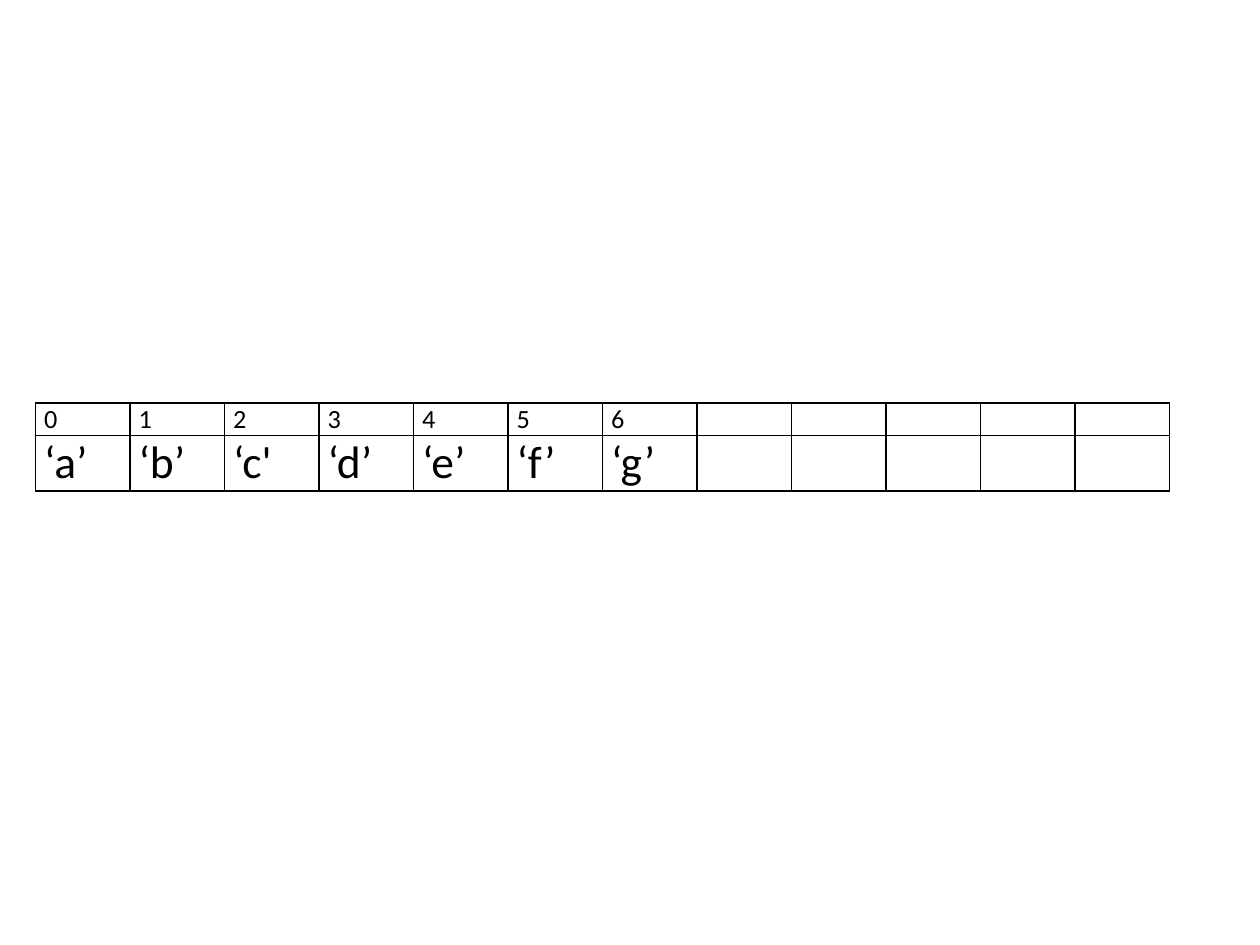
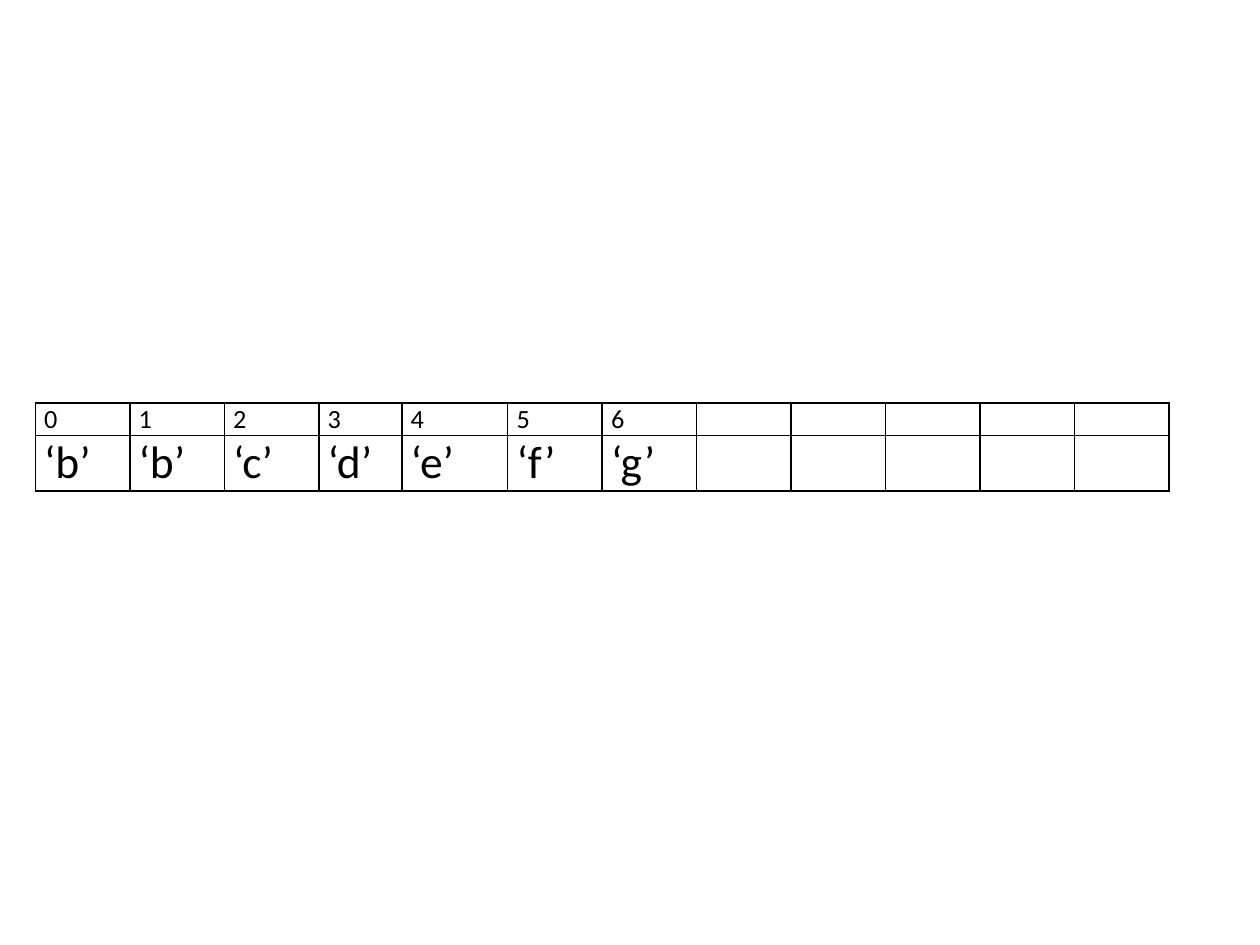
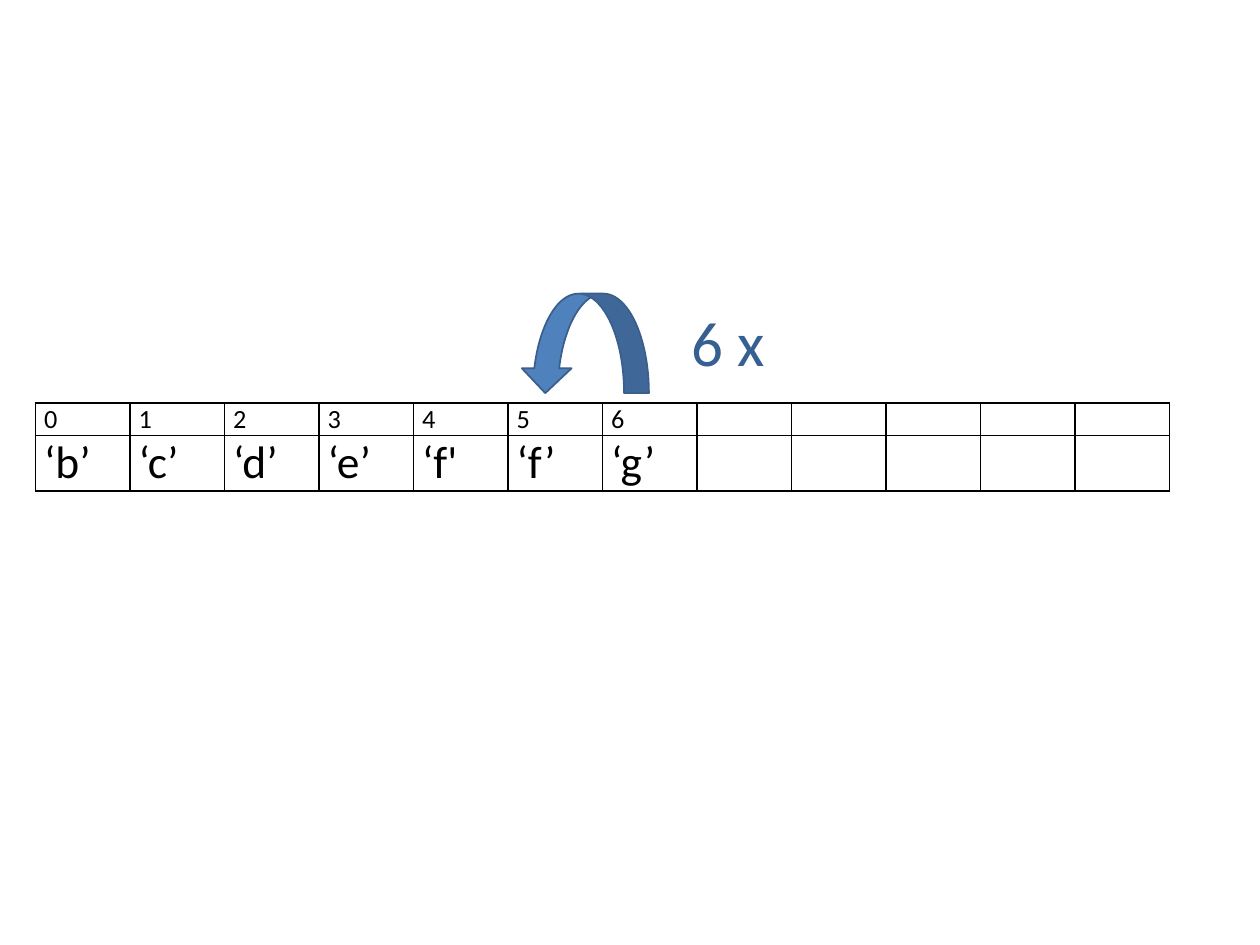
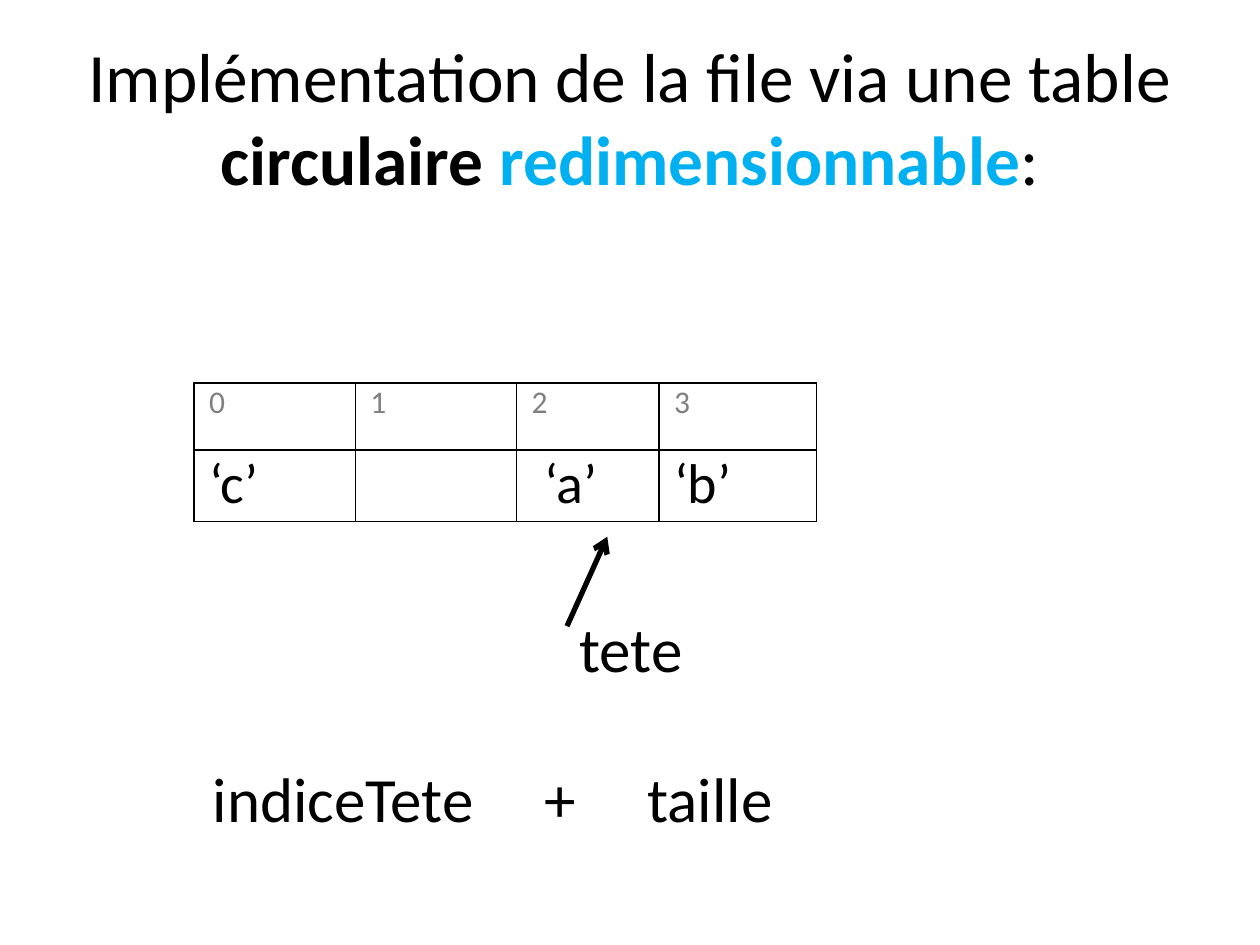
from lxml import etree
from pptx import Presentation
from pptx import util as u
from pptx.dml.color import RGBColor
from pptx.enum import shapes, text
from pptx.oxml.ns import qn

BLACK = RGBColor(0x00, 0x00, 0x00)
GREY = RGBColor(0x80, 0x80, 0x80)
CYAN = RGBColor(0x00, 0xB0, 0xF0)
BLUE = RGBColor(0x4F, 0x81, 0xBD)
EDGE_BLUE = RGBColor(0x3A, 0x5F, 0x8C)
TEXT_BLUE = RGBColor(0x37, 0x60, 0x92)
FONT = "Calibri"

SLOTS = 12
EVEN_WIDTHS = [0.75] * SLOTS
SHIFTED_WIDTHS = [0.75] * 3 + [0.66, 0.84] + [0.75] * 7
QUEUES = [
    (["‘a’", "‘b’", "‘c'", "‘d’", "‘e’", "‘f’", "‘g’"], EVEN_WIDTHS),
    (["‘b’", "‘b’", "‘c’", "‘d’", "‘e’", "‘f’", "‘g’"], SHIFTED_WIDTHS),
    (["‘b’", "‘c’", "‘d’", "‘e’", "‘f'", "‘f’", "‘g’"], EVEN_WIDTHS),
]
QUEUE_STYLE = {
    "place": (0.28, 3.2), "heights": (0.25, 0.43), "inset": 0.07,
    "rows": ({"size": u.Pt(15), "color": BLACK}, {"size": u.Pt(26), "color": BLACK}),
}

CIRCLE = ["‘c’", "", "‘a’", "‘b’"]
CIRCLE_WIDTHS = [1.28, 1.28, 1.13, 1.25]
CIRCLE_STYLE = {
    "place": (1.54, 3.04), "heights": (0.53, 0.57), "inset": 0.12,
    "rows": ({"size": u.Pt(18), "color": GREY}, {"size": u.Pt(32), "color": BLACK}),
}
HEAD_INDENT = 0.1

TITLE = [
    ("Implémentation de la file via une table ", {"color": BLACK, "bold": False}),
    ("circulaire ", {"color": BLACK, "bold": True}),
    ("redimensionnable", {"color": CYAN, "bold": True}),
    (":", {"color": BLACK, "bold": False}),
]
FORMULA = ["indiceTete", "+", "taille"]
FORMULA_TABS = [2.63, 3.45]


def set_font(font, formats):
    for name, value in {"name": FONT, **formats}.items():
        if name == "color":
            font.color.rgb = value
        else:
            setattr(font, name, value)


def add_borders(cell):
    properties = cell._tc.get_or_add_tcPr()
    for side in ("lnL", "lnR", "lnT", "lnB"):
        line = etree.SubElement(properties, qn(f"a:{side}"), w=str(u.Pt(1)))
        fill = etree.SubElement(line, qn("a:solidFill"))
        etree.SubElement(fill, qn("a:srgbClr"), val=str(BLACK))


def add_array(page, values, widths, style):
    left, top = style["place"]
    heights = style["heights"]
    indices = [str(i) if i < len(values) else "" for i in range(len(widths))]
    contents = values + [""] * (len(widths) - len(values))
    frame = page.shapes.add_table(
        2, len(widths), u.Inches(left), u.Inches(top),
        u.Inches(sum(widths)), u.Inches(sum(heights)))
    table = frame.table
    table.first_row = table.horz_banding = False
    for column, width in zip(table.columns, widths):
        column.width = u.Inches(width)
    for row, height, words, formats in zip(
            table.rows, heights, (indices, contents), style["rows"]):
        row.height = u.Inches(height)
        for cell, word in zip(row.cells, words):
            cell.margin_left = cell.margin_right = u.Inches(style["inset"])
            cell.margin_top = cell.margin_bottom = 0
            add_borders(cell)
            cell.fill.background()
            para = cell.text_frame.paragraphs[0]
            if word:
                span = para.add_run()
                span.text = word
                set_font(span.font, {"bold": False, **formats})
            else:
                size = str(int(formats["size"].pt * 100))
                etree.SubElement(para._p, qn("a:endParaRPr"), sz=size)
    return table


def add_label(page, words, place, color, tabs=()):
    box = page.shapes.add_textbox(*map(u.Inches, place))
    box.text_frame.word_wrap = bool(tabs)
    para = box.text_frame.paragraphs[0]
    if tabs:
        stops = etree.SubElement(para._p.get_or_add_pPr(), qn("a:tabLst"))
        for position in tabs:
            etree.SubElement(stops, qn("a:tab"), pos=str(u.Inches(position)), algn="l")
    span = para.add_run()
    span.text = words
    set_font(span.font, {"size": u.Pt(36), "color": color})


def add_shift_arrow(page):
    arrow = page.shapes.add_shape(
        shapes.MSO_SHAPE.CURVED_UP_ARROW, *map(u.Inches, (4.13, 2.33, 1.02, 0.79)))
    arrow.rotation = 180
    arrow.shadow.inherit = False
    arrow.fill.solid()
    arrow.fill.fore_color.rgb = BLUE
    arrow.line.color.rgb = EDGE_BLUE
    arrow.line.width = u.Pt(1)


def add_pointer(page):
    pointer = page.shapes.add_connector(
        shapes.MSO_CONNECTOR.STRAIGHT, *map(u.Inches, (4.5, 4.97, 4.82, 4.26)))
    pointer.line.color.rgb = BLACK
    pointer.line.width = u.Pt(3)
    etree.SubElement(pointer.line._get_or_add_ln(), qn("a:tailEnd"), type="arrow")
    etree.SubElement(pointer._element.spPr, qn("a:effectLst"))


def add_title(page):
    title = page.shapes.title
    title.left, title.top, title.width, title.height = map(u.Inches, (0.5, 0.3, 9, 1.25))
    title.text_frame.vertical_anchor = text.MSO_ANCHOR.MIDDLE
    para = title.text_frame.paragraphs[0]
    para.alignment = text.PP_ALIGN.CENTER
    for words, formats in TITLE:
        span = para.add_run()
        span.text = words
        set_font(span.font, {"size": u.Pt(39.6), **formats})


def main():
    deck = Presentation()
    deck.slide_width, deck.slide_height = u.Inches(10), u.Inches(7.5)
    title_only, blank = deck.slide_layouts[5], deck.slide_layouts[6]

    for values, widths in QUEUES:
        page = deck.slides.add_slide(blank)
        add_array(page, values, widths, QUEUE_STYLE)
    add_shift_arrow(page)
    add_label(page, "6 x", (5.39, 2.36, 0.79, 0.71), TEXT_BLUE)

    page = deck.slides.add_slide(title_only)
    add_title(page)
    table = add_array(page, CIRCLE, CIRCLE_WIDTHS, CIRCLE_STYLE)
    head = table.cell(1, CIRCLE.index("‘a’"))
    head.margin_left += u.Inches(HEAD_INDENT)
    add_pointer(page)
    add_label(page, "tete", (4.5, 4.79, 1.03, 0.71), BLACK)
    add_label(page, "\t".join(FORMULA), (1.59, 5.98, 4.68, 0.71), BLACK, FORMULA_TABS)

    deck.save("out.pptx")


if __name__ == "__main__":
    main()
